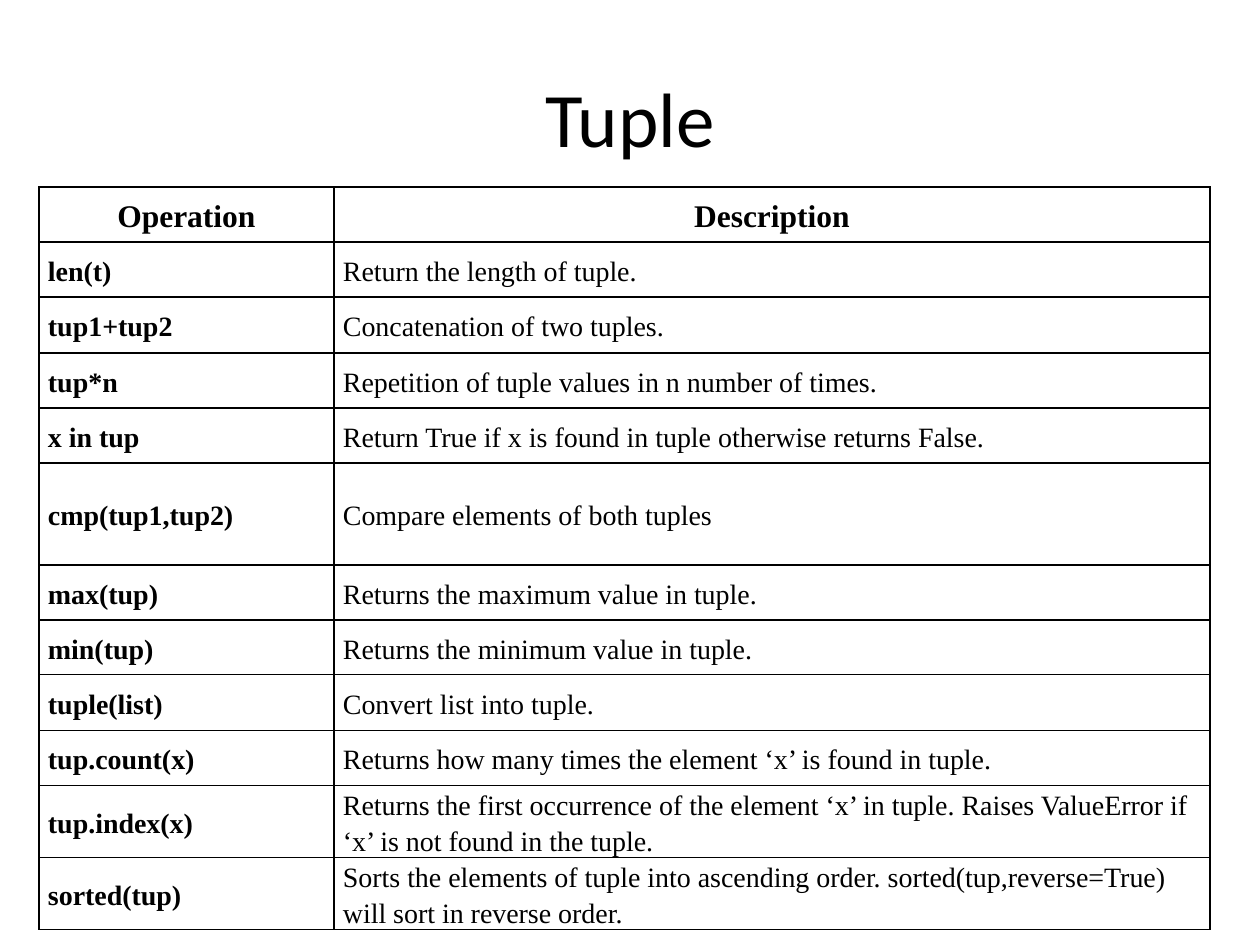
from itertools import pairwise
from lxml import etree
from pptx import Presentation
from pptx.dml.color import RGBColor
from pptx.enum import text
from pptx.oxml.ns import qn
from pptx.util import Pt

HEAD = "Tuple"
ROWS = [
    ("Operation", "Description"),
    ("len(t)", "Return the length of tuple."),
    ("tup1+tup2", "Concatenation of two tuples."),
    ("tup*n", "Repetition of tuple values in n number of times."),
    ("x in tup", "Return True if x is found in tuple otherwise returns False."),
    ("cmp(tup1,tup2)", "Compare elements of both tuples"),
    ("max(tup)", "Returns the maximum value in tuple."),
    ("min(tup)", "Returns the minimum value in tuple."),
    ("tuple(list)", "Convert list into tuple."),
    ("tup.count(x)", "Returns how many times the element ‘x’ is found in tuple."),
    ("tup.index(x)", "Returns the first occurrence of the element ‘x’ in tuple. "
                     "Raises ValueError if ‘x’ is not found in the tuple."),
    ("sorted(tup)", "Sorts the elements of tuple into ascending order. "
                    "sorted(tup,reverse=True) will sort in reverse order."),
]
# Grid lines in px
XS = [39, 334, 1210]
YS = [187, 242, 297, 353, 408, 463, 565, 620, 675, 731, 786, 858, 930]
BLACK = RGBColor(0, 0, 0)
PX = 914400 // 126


def style(para, face, size, bold, align):
    para.alignment = align
    for run in para.runs:
        font = run.font
        font.name, font.size, font.bold = face, Pt(size), bold
        font.color.rgb = BLACK


def border(cell):
    props = cell._tc.get_or_add_tcPr()
    for side in ("lnL", "lnR", "lnT", "lnB"):
        line = etree.SubElement(props, qn("a:" + side), w=str(Pt(1)))
        fill = etree.SubElement(line, qn("a:solidFill"))
        etree.SubElement(fill, qn("a:srgbClr"), val=str(BLACK))


deck = Presentation()
deck.slide_width, deck.slide_height = 1260 * PX, 945 * PX
slide = deck.slides.add_slide(deck.slide_layouts[5])

# Title
title = slide.shapes.title
title.left, title.top, title.width, title.height = (
    n * PX for n in (63, 38, 1134, 157))
title.text_frame.text = HEAD
title.text_frame.vertical_anchor = text.MSO_ANCHOR.MIDDLE
style(title.text_frame.paragraphs[0], "Calibri", 44, False, text.PP_ALIGN.CENTER)

# Table grid
table = slide.shapes.add_table(
    len(ROWS), 2, XS[0] * PX, YS[0] * PX,
    (XS[-1] - XS[0]) * PX, (YS[-1] - YS[0]) * PX).table
table.horz_banding = False
for col, (a, b) in zip(table.columns, pairwise(XS)):
    col.width = (b - a) * PX
for row, (a, b) in zip(table.rows, pairwise(YS)):
    row.height = (b - a) * PX

# Table cells
for r, words in enumerate(ROWS):
    for c, word in enumerate(words):
        cell = table.cell(r, c)
        cell.text_frame.text = word
        cell.vertical_anchor = text.MSO_ANCHOR.MIDDLE
        cell.margin_left = cell.margin_right = 9 * PX
        cell.margin_top = cell.margin_bottom = 0
        para = cell.text_frame.paragraphs[0]
        para.line_spacing = 1.15
        top = r == 0
        style(para, "Times New Roman", 18 if top else 16, top or c == 0,
              text.PP_ALIGN.CENTER if top else text.PP_ALIGN.LEFT)
        border(cell)
        cell.fill.background()

deck.save("out.pptx")
